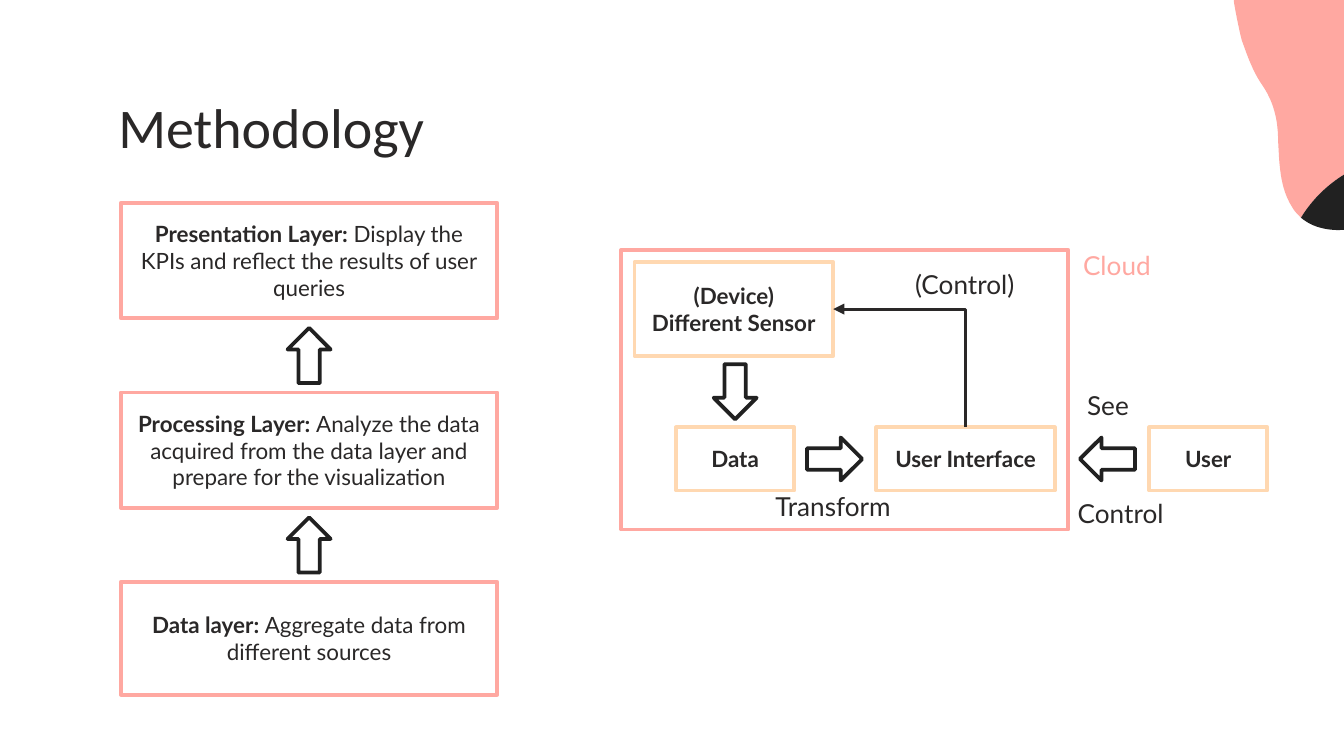
from dataclasses import dataclass

from lxml import etree
from pptx import Presentation
from pptx.dml.color import RGBColor
from pptx.enum import shapes, text
from pptx.oxml import ns
from pptx.util import Inches, Pt

PINK = RGBColor(0xFF, 0xA8, 0xA1)
PEACH = RGBColor(0xFF, 0xD8, 0xB1)
BLACK = RGBColor(0x21, 0x21, 0x21)
INK = RGBColor(0x2A, 0x28, 0x28)
WHITE = RGBColor(0xFF, 0xFF, 0xFF)

Point = tuple[float, float]


@dataclass
class Box:
    left: float
    top: float
    width: float
    height: float
    lead: str = ""
    detail: str = ""
    line: RGBColor = PEACH
    fill: RGBColor | None = None


@dataclass
class Arrow:
    """A block arrow that points down before it is rotated."""
    left: float
    top: float
    rotation: int = 0


@dataclass
class Label:
    left: float
    top: float
    width: float
    words: str
    color: RGBColor = INK


LAYER_TOP, LAYER_STEP = 1.51, 1.41
LAYERS = [
    ("Presentation Layer: ", "Display the KPIs and reflect the results of user queries", 0.86),
    ("Processing Layer: ", "Analyze the data acquired from the data layer and "
                           "prepare for the visualization", 0.86),
    ("Data layer: ", "Aggregate data from different sources", 0.84),
]
DEVICE = Box(4.72, 1.95, 1.48, 0.7, "(Device)\nDifferent Sensor", fill=WHITE)
DATA = Box(5.03, 3.18, 0.88, 0.47, "Data", fill=WHITE)
INTERFACE = Box(6.52, 3.18, 1.33, 0.47, "User Interface", fill=WHITE)
USER = Box(8.55, 3.18, 0.88, 0.47, "User")
CLOUD_FRAME = Box(4.62, 1.86, 3.33, 2.08, line=PINK)
FLOW_ARROWS = [Arrow(5.31, 2.71), Arrow(6.05, 3.21, 270), Arrow(8.08, 3.21, 90)]
LABELS = [
    Label(7.96, 1.81, 0.75, "Cloud", PINK),
    Label(5.67, 3.6, 1.09, "Transform"),
    Label(7.92, 3.65, 0.88, "Control"),
    Label(6.71, 1.95, 1.02, "(Control)"),
    Label(7.99, 2.85, 0.55, "See"),
]

# Each curve is two control points and an end point.
PINK_BLOB = [
    ((9.18, 0.03), (9.23, 0.27), (9.24, 0.3)),
    ((9.28, 0.41), (9.32, 0.53), (9.39, 0.63)),
    ((9.48, 0.76), (9.51, 0.9), (9.51, 1.05)),
    ((9.52, 1.22), (9.52, 1.4), (9.62, 1.55)),
    ((9.63, 1.57), (9.66, 1.6), (9.68, 1.62)),
    ((9.76, 1.49), (9.87, 1.38), (10, 1.3)),
]
BLACK_BLOB = [
    ((9.87, 1.38), (9.76, 1.49), (9.68, 1.62)),
    ((9.76, 1.69), (9.88, 1.72), (10, 1.71)),
]


def bezier_points(start: Point, curves: list, steps: int = 12) -> list[Point]:
    points = []
    for a, b, end in curves:
        for i in range(1, steps + 1):
            t = i / steps
            q = 1 - t
            points.append(tuple(
                q**3 * start[k] + 3 * q * q * t * a[k] + 3 * q * t * t * b[k] + t**3 * end[k]
                for k in (0, 1)))
        start = end
    return points


def draw_blob(s, corners: list[Point], curves: list, color: RGBColor) -> None:
    """Draw the straight corners, then the curves from the last corner."""
    points = [(Inches(x), Inches(y))
              for x, y in corners + bezier_points(corners[-1], curves)]
    builder = s.shapes.build_freeform(*points[0])
    builder.add_line_segments(points[1:], close=True)
    sp = builder.convert_to_shape()
    sp.shadow.inherit = False
    sp.fill.solid()
    sp.fill.fore_color.rgb = color
    sp.line.fill.background()


def style_run(r, size: int, color: RGBColor = INK, font: str = "Lato", bold: bool = False) -> None:
    r.font.name = font
    r.font.size = Pt(size)
    r.font.bold = bold
    r.font.color.rgb = color


def draw_outline(s, kind, left: float, top: float, width: float, height: float, line: RGBColor):
    sp = s.shapes.add_shape(kind, Inches(left), Inches(top), Inches(width), Inches(height))
    sp.shadow.inherit = False
    sp.fill.background()
    sp.line.color.rgb = line
    sp.line.width = Pt(2)
    return sp


def draw_box(s, box: Box):
    sp = draw_outline(s, shapes.MSO_SHAPE.RECTANGLE, box.left, box.top,
                      box.width, box.height, box.line)
    if box.fill is not None:
        sp.fill.solid()
        sp.fill.fore_color.rgb = box.fill
    if box.lead:
        tf = sp.text_frame
        tf.vertical_anchor = text.MSO_ANCHOR.MIDDLE
        tf.text = box.lead
        for p in tf.paragraphs:
            p.alignment = text.PP_ALIGN.CENTER
            style_run(p.runs[0], 12, bold=True)
    if box.detail:
        r = sp.text_frame.paragraphs[-1].add_run()
        r.text = box.detail
        style_run(r, 12)
    return sp


def draw_arrow(s, arrow: Arrow) -> None:
    sp = draw_outline(s, shapes.MSO_SHAPE.DOWN_ARROW, arrow.left, arrow.top, 0.32, 0.41, BLACK)
    sp.rotation = arrow.rotation


def draw_label(s, label: Label) -> None:
    sp = s.shapes.add_textbox(Inches(label.left), Inches(label.top),
                              Inches(label.width), Inches(0.34))
    tf = sp.text_frame
    tf.word_wrap = True
    tf.auto_size = text.MSO_AUTO_SIZE.SHAPE_TO_FIT_TEXT
    tf.text = label.words
    style_run(tf.paragraphs[0].runs[0], 14, label.color)


def draw_control_line(s, device, interface) -> None:
    """Link the device's right side to the interface's top, arrowhead at the device."""
    line = s.shapes.add_connector(shapes.MSO_CONNECTOR.ELBOW, 0, 0, 0, 0)
    line.begin_connect(device, 3)
    line.end_connect(interface, 0)
    line.line.color.rgb = INK
    line.line.width = Pt(1.5)
    sp_pr = line._element.spPr
    sp_pr.find(ns.qn("a:prstGeom")).set("prst", "bentConnector2")
    etree.SubElement(line.line._get_or_add_ln(), ns.qn("a:headEnd"), type="triangle")
    etree.SubElement(sp_pr, ns.qn("a:effectLst"))


def main() -> None:
    prs = Presentation()
    prs.slide_width = Inches(10)
    prs.slide_height = prs.slide_width * 9 // 16
    s = prs.slides.add_slide(prs.slide_layouts[5])

    draw_blob(s, [(10, 0), (9.18, 0)], PINK_BLOB, PINK)
    draw_blob(s, [(10, 1.3)], BLACK_BLOB, BLACK)

    title = s.shapes.title
    title.left, title.top, title.width, title.height = map(Inches, (0.78, 0.59, 8.05, 0.6))
    tf = title.text_frame
    tf.text = "Methodology"
    tf.auto_size = text.MSO_AUTO_SIZE.NONE
    tf.vertical_anchor = text.MSO_ANCHOR.TOP
    tf.margin_left = tf.margin_top = tf.margin_right = tf.margin_bottom = Inches(0.1)
    tf.paragraphs[0].alignment = text.PP_ALIGN.LEFT
    style_run(tf.paragraphs[0].runs[0], 30, font="Calibri")

    for i, (name, detail, height) in enumerate(LAYERS):
        top = LAYER_TOP + i * LAYER_STEP
        draw_box(s, Box(0.9, top, 2.8, height, name, detail, PINK))
        if i:
            draw_arrow(s, Arrow(2.14, top - 0.48, 180))

    device, _, interface, _, _ = [
        draw_box(s, box) for box in (DEVICE, DATA, INTERFACE, USER, CLOUD_FRAME)]
    for arrow in FLOW_ARROWS:
        draw_arrow(s, arrow)
    for label in LABELS:
        draw_label(s, label)
    draw_control_line(s, device, interface)

    prs.save("out.pptx")


if __name__ == "__main__":
    main()
